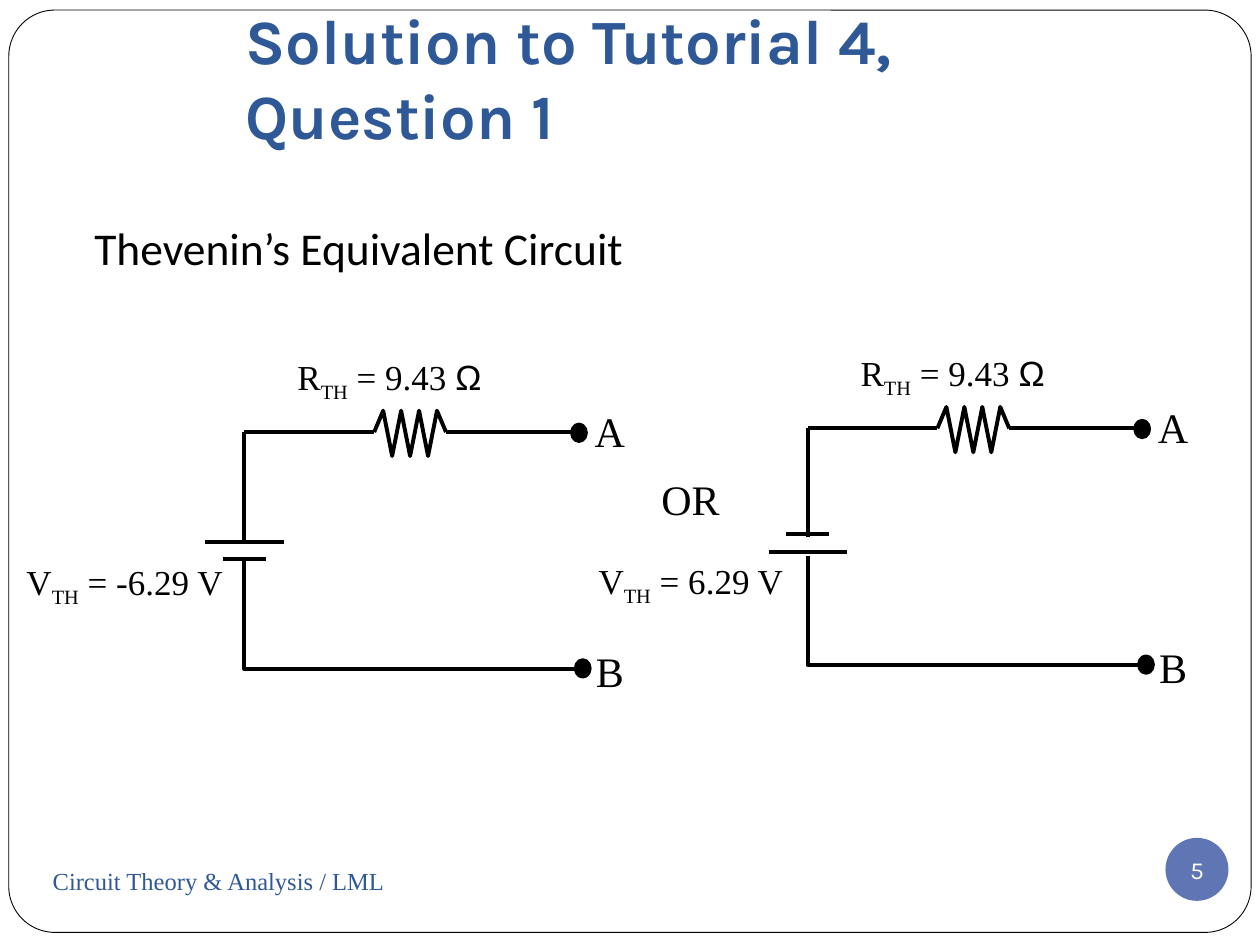
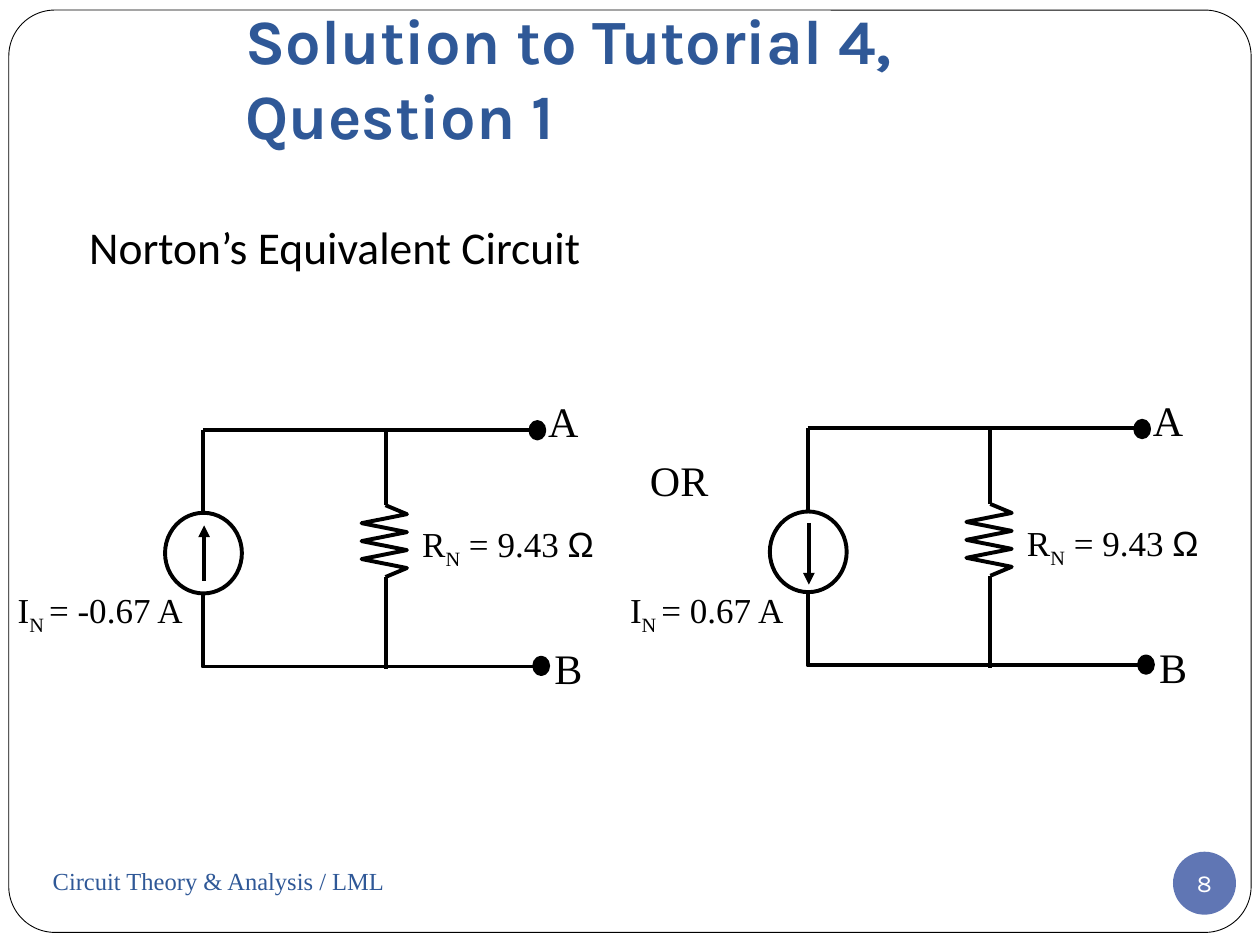
from dataclasses import dataclass
from typing import NamedTuple

from lxml.etree import SubElement
from pptx import Presentation
from pptx.dml.color import RGBColor
from pptx.enum.shapes import MSO_CONNECTOR, MSO_SHAPE
from pptx.enum.text import MSO_ANCHOR, MSO_AUTO_SIZE, PP_ALIGN
from pptx.oxml.ns import qn
from pptx.util import Inches, Pt

BLACK = RGBColor(0x00, 0x00, 0x00)
WHITE = RGBColor(0xFF, 0xFF, 0xFF)
TITLE_BLUE = RGBColor(0x2F, 0x58, 0x97)
BADGE_BLUE = RGBColor(0x60, 0x76, 0xB4)

SERIF = "Times New Roman"
TITLE_FONT = "Karla"
BODY_FONT = "Calibri"
SYMBOL_FONT = "Arial"

TITLE = "Solution to Tutorial 4, Question 1"
FOOTER = "Circuit Theory & Analysis / LML"
WIRE_WIDTH = 2.25
TITLE_ONLY = 5

# Circuit geometry, measured from the top left corner of the loop
LOOP_RIGHT = 2.7
LOOP_BOTTOM = 1.88
RESISTOR_LENGTH = 0.57
RESISTOR_KICKS = [0] + [0.17, -0.19] * 3 + [0.17, 0]


class Point(NamedTuple):
    x: float
    y: float

    def shift(self, x: float, y: float) -> "Point":
        return Point(self.x + x, self.y + y)


class Span(NamedTuple):
    text: str
    font: str = SERIF
    subscript: bool = False


@dataclass
class Circuit:
    corner: Point
    source_label: list[Span]
    source_label_at: Point
    reversed_source: bool = False


@dataclass
class Content:
    number: str
    badge_at: Point
    heading: str
    heading_at: Point
    or_at: Point
    norton: bool
    circuits: list[Circuit]


def resistance(index: str) -> list[Span]:
    return [Span("R"), Span(index, subscript=True), Span(" = 9.43 "), Span("Ω", SYMBOL_FONT)]


# Text
def write(frame, spans: list[Span], *, size: float, color: RGBColor = BLACK,
          bold: bool = False, align=PP_ALIGN.LEFT, anchor=MSO_ANCHOR.TOP,
          insets: tuple = (0, 0, 0, 0), wrap: bool = True) -> None:
    frame.auto_size = MSO_AUTO_SIZE.NONE
    frame.word_wrap = wrap
    frame.vertical_anchor = anchor
    (frame.margin_left, frame.margin_top,
     frame.margin_right, frame.margin_bottom) = map(Inches, insets)
    para = frame.paragraphs[0]
    para.alignment = align
    for text, font, subscript in spans:
        span = para.add_run()
        span.text = text
        span.font.name = font
        span.font.size = Pt(size)
        span.font.bold = bold
        span.font.color.rgb = color
        if subscript:
            span._r.get_or_add_rPr().set("baseline", "-25000")


def add_text(page, spans: list[Span], at: Point, width: float, height: float,
             **text_format) -> None:
    box = page.shapes.add_textbox(*map(Inches, (*at, width, height)))
    write(box.text_frame, spans, **text_format)


# Shapes and wires
def add_shape(page, kind, at: Point, width: float, height: float, *,
              fill: RGBColor | None = None, line_width: float | None = WIRE_WIDTH):
    shape = page.shapes.add_shape(kind, *map(Inches, (*at, width, height)))
    shape.shadow.inherit = False
    if fill is None:
        shape.fill.background()
    else:
        shape.fill.solid()
        shape.fill.fore_color.rgb = fill
    if line_width is None:
        shape.line.fill.background()
    else:
        shape.line.color.rgb = BLACK
        shape.line.width = Pt(line_width)
    return shape


def add_wire(page, start: Point, end: Point, arrow: bool = False) -> None:
    wire = page.shapes.add_connector(MSO_CONNECTOR.STRAIGHT, *map(Inches, (*start, *end)))
    wire.line.color.rgb = BLACK
    wire.line.width = Pt(WIRE_WIDTH)
    properties = wire._element.spPr
    if arrow:
        SubElement(properties.find(qn("a:ln")), qn("a:tailEnd"), type="triangle")
    SubElement(properties, qn("a:effectLst"))


def add_path(page, points: list[Point]) -> None:
    corners = [(Inches(x), Inches(y)) for x, y in points]
    builder = page.shapes.build_freeform(*corners[0])
    builder.add_line_segments(corners[1:], close=False)
    path = builder.convert_to_shape()
    path.shadow.inherit = False
    path.fill.background()
    path.line.color.rgb = BLACK
    path.line.width = Pt(WIRE_WIDTH)


def add_resistor(page, start: Point, vertical: bool) -> None:
    step = RESISTOR_LENGTH / (len(RESISTOR_KICKS) - 1)
    add_path(page, [start.shift(kick, i * step) if vertical else start.shift(i * step, -kick)
                    for i, kick in enumerate(RESISTOR_KICKS)])


# Circuits
def add_loop(page, corner: Point, upper_end: float, lower_start: float, a_label: Point) -> None:
    """Left side, bottom wire and the terminals A and B."""
    add_wire(page, corner, corner.shift(0, upper_end))
    add_path(page, [corner.shift(0, lower_start), corner.shift(0, LOOP_BOTTOM),
                    corner.shift(LOOP_RIGHT, LOOP_BOTTOM)])
    for name, dot, label in (("A", Point(2.6, -0.06), a_label),
                             ("B", Point(2.63, 1.81), Point(2.79, 1.69))):
        add_shape(page, MSO_SHAPE.OVAL, corner.shift(*dot), 0.11, 0.13, fill=BLACK)
        add_text(page, [Span(name)], corner.shift(*label), 0.34, 0.57, size=24)


def add_thevenin(page, circuit: Circuit) -> None:
    corner = circuit.corner
    add_loop(page, corner, 0.86, 1.01, Point(2.78, -0.21))
    # Battery plates
    long_y, short_y = (0.98, 0.84) if circuit.reversed_source else (0.87, 1.01)
    for half, y in ((0.31, long_y), (0.17, short_y)):
        add_wire(page, corner.shift(-half, y), corner.shift(half, y))
    # Series resistor
    start = corner.shift(1.03, 0)
    add_wire(page, corner, start)
    add_resistor(page, start, vertical=False)
    add_wire(page, start.shift(RESISTOR_LENGTH, 0), corner.shift(2.66, 0))
    add_text(page, resistance("TH"), corner.shift(0.42, -0.61), 2.05, 0.57, size=20)


def add_norton(page, circuit: Circuit) -> None:
    corner = circuit.corner
    add_loop(page, corner, 0.66, 1.3, Point(2.74, -0.27))
    add_wire(page, corner, corner.shift(2.66, 0))
    # Current source
    add_shape(page, MSO_SHAPE.OVAL, corner.shift(-0.3, 0.66), 0.61, 0.64)
    tail, head = (0.75, 1.24) if circuit.reversed_source else (1.2, 0.76)
    add_wire(page, corner.shift(0.01, tail), corner.shift(0.01, head), arrow=True)
    # Parallel resistor
    top = corner.shift(1.45, 0)
    start = top.shift(0, 0.6)
    add_wire(page, top, start)
    add_resistor(page, start, vertical=True)
    add_wire(page, start.shift(0, RESISTOR_LENGTH), top.shift(0, 1.9))
    add_text(page, resistance("N"), corner.shift(1.74, 0.74), 1.58, 0.57, size=20)


# Slides
def add_page(deck, content: Content) -> None:
    page = deck.slides.add_slide(deck.slide_layouts[TITLE_ONLY])

    # Frame, behind everything else
    frame = add_shape(page, MSO_SHAPE.ROUNDED_RECTANGLE, Point(0.07, 0.08), 9.86, 7.32,
                      fill=WHITE, line_width=0.5)
    frame.adjustments[0] = 0.05
    page.shapes._spTree.insert(2, frame._element)

    # Title
    title = page.shapes.title
    title.left, title.top, title.width, title.height = map(Inches, (1.85, 0.39, 7.29, 0.92))
    write(title.text_frame, [Span(TITLE, TITLE_FONT)], size=36, color=TITLE_BLUE, bold=True,
          anchor=MSO_ANCHOR.BOTTOM, insets=(0.1, 0.05, 0.1, 0.1))

    # Page number and footer
    badge = add_shape(page, MSO_SHAPE.OVAL, content.badge_at, 0.5, 0.5,
                      fill=BADGE_BLUE, line_width=None)
    write(badge.text_frame, [Span(content.number, TITLE_FONT)], size=14, color=WHITE,
          align=PP_ALIGN.CENTER, anchor=MSO_ANCHOR.MIDDLE, wrap=False)
    padding = (0.1, 0.05, 0.1, 0.05)
    add_text(page, [Span(FOOTER)], Point(0.32, 6.74), 4.33, 0.5, size=14, color=TITLE_BLUE,
             anchor=MSO_ANCHOR.MIDDLE, insets=padding)

    # Heading and the two alternative circuits
    add_text(page, [Span(content.heading, BODY_FONT)], content.heading_at, 8.5, 4.95,
             size=26, align=PP_ALIGN.JUSTIFY, insets=padding)
    add_text(page, [Span("OR")], content.or_at, 0.69, 0.5, size=24, insets=padding)
    draw_circuit = add_norton if content.norton else add_thevenin
    for circuit in content.circuits:
        draw_circuit(page, circuit)
        add_text(page, circuit.source_label, circuit.source_label_at, 1.75, 0.57, size=20)


V_TH = [Span("V"), Span("TH", subscript=True)]
I_N = [Span("I"), Span("N ", subscript=True)]

CONTENTS = [
    Content("5", Point(9.25, 6.65), "Thevenin’s Equivalent Circuit", Point(0.65, 1.7),
            Point(5.15, 3.71), False, [
                Circuit(Point(1.94, 3.43), V_TH + [Span(" = -6.29 V")], Point(0.21, 4.45)),
                Circuit(Point(6.41, 3.4), V_TH + [Span(" = 6.29 V")], Point(4.75, 4.44), True)]),
    Content("8", Point(9.31, 6.76), "Norton’s Equivalent Circuit", Point(0.61, 1.69),
            Point(5.06, 3.56), True, [
                Circuit(Point(1.61, 3.41), I_N + [Span("= -0.67 A")], Point(0.14, 4.67)),
                Circuit(Point(6.41, 3.4), I_N + [Span("= 0.67 A")], Point(5, 4.67), True)]),
]


def main() -> None:
    deck = Presentation()
    deck.slide_width, deck.slide_height = Inches(10), Inches(7.5)
    for content in CONTENTS:
        add_page(deck, content)
    deck.save("out.pptx")


if __name__ == "__main__":
    main()
